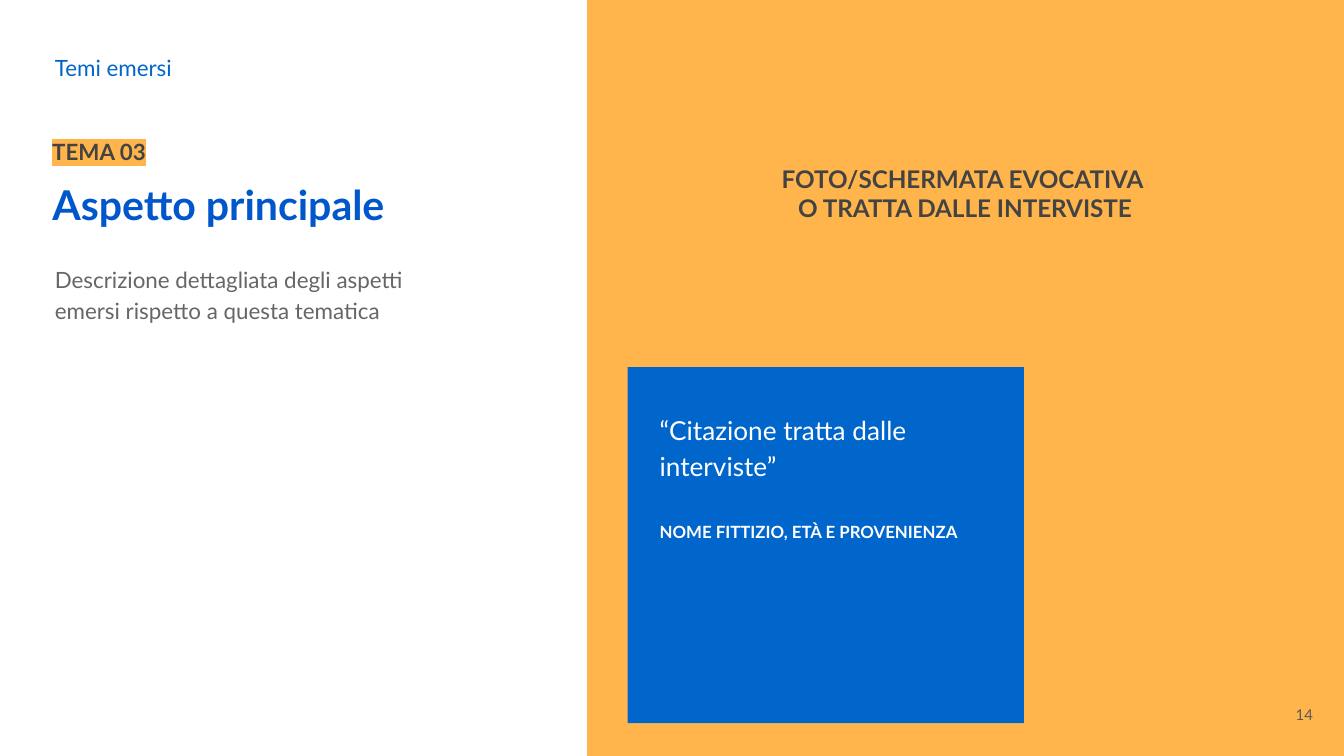
from dataclasses import dataclass

from lxml import etree
from pptx import Presentation
from pptx.dml.color import RGBColor
from pptx.enum import shapes, text
from pptx.oxml import ns
from pptx.util import Pt


@dataclass(frozen=True)
class Theme:
    """Colours, font and type sizes of the deck."""
    font: str = "Lato"
    amber: str = "FFB54C"
    blue: str = "0066CC"
    navy: str = "0056CB"
    dark: str = "434343"
    gray: str = "666666"
    dim: str = "595959"
    white: str = "FFFFFF"
    head: float = 22
    quote: float = 14
    label: float = 13
    body: float = 12
    name: float = 9
    page: float = 8


THEME = Theme()
ALIGN = text.PP_ALIGN
ANCHOR = text.MSO_ANCHOR


def mark(run, color):
    """Put a highlight colour behind a run."""
    fill = run.font.fill._xPr.find(ns.qn("a:solidFill"))
    glow = etree.Element(ns.qn("a:highlight"))
    etree.SubElement(glow, ns.qn("a:srgbClr"), val=color)
    fill.addnext(glow)


def write(para, words, size=THEME.body, color=THEME.gray, bold=False,
          align=ALIGN.LEFT, line=1.0, before=0, glow=None):
    """Fill a paragraph with formatted text."""
    para.alignment = align
    para.line_spacing = line
    para.space_before = Pt(before)
    for i, part in enumerate(words.split("\n")):
        if i:
            para.add_line_break()
        run = para.add_run()
        run.text = part
        font = run.font
        font.name, font.size, font.bold = THEME.font, Pt(size), bold
        font.color.rgb = RGBColor.from_string(color)
        if glow:
            mark(run, glow)


def place(shape, box):
    """Move a shape to a box given in points."""
    shape.left, shape.top, shape.width, shape.height = map(Pt, box)


def inset(box, x, y, w, h):
    """Return a box placed relative to another box."""
    return box[0] + x, box[1] + y, w, h


def setup(shape, anchor=ANCHOR.TOP):
    """Prepare the text frame of a shape and return it."""
    frame = shape.text_frame
    frame.word_wrap = True
    frame.auto_size = text.MSO_AUTO_SIZE.NONE
    frame.vertical_anchor = anchor
    frame.margin_left = frame.margin_right = Pt(7.2)
    frame.margin_top = frame.margin_bottom = Pt(7.2)
    return frame


def label(slide, box, words, anchor=ANCHOR.TOP, **style):
    """Add a text box and return its frame."""
    frame = setup(slide.shapes.add_textbox(*map(Pt, box)), anchor)
    write(frame.paragraphs[0], words, **style)
    return frame


def panel(slide, box, color):
    """Add a plain filled rectangle."""
    shape = slide.shapes.add_shape(shapes.MSO_SHAPE.RECTANGLE, *map(Pt, box))
    shape.shadow.inherit = False
    shape.fill.solid()
    shape.fill.fore_color.rgb = RGBColor.from_string(color)
    shape.line.fill.background()


def topic(slide, box):
    """Place the section name, theme tag, title and description."""
    label(slide, inset(box, 22.3, 25.2, 305, 22.3), "Temi emersi",
          anchor=ANCHOR.MIDDLE, color=THEME.blue)
    label(slide, inset(box, 20.9, 67, 76.3, 22.3), "TEMA 03",
          color=THEME.dark, bold=True, glow=THEME.amber)
    title = slide.shapes.title
    place(title, inset(box, 20.9, 85, 251.3, 40.3))
    write(setup(title).paragraphs[0], "Aspetto principale", size=THEME.head,
          color=THEME.navy, bold=True, line=1.15)
    label(slide, inset(box, 22.3, 133.2, 232.6, 196.6),
          "Descrizione dettagliata degli aspetti emersi rispetto a questa tematica",
          line=1.15)


def quote(slide, box):
    """Place the quote card with its speaker."""
    panel(slide, box, THEME.blue)
    frame = label(slide, inset(box, 10.1, 15.8, 189.4, 68.4),
                  "“Citazione tratta dalle interviste”",
                  size=THEME.quote, color=THEME.white, line=1.15)
    write(frame.add_paragraph(), "NOME FITTIZIO, ETÀ E PROVENIENZA",
          size=THEME.name, color=THEME.white, bold=True, line=1.15, before=19.3)


def photo(slide, box):
    """Place the photo area with its caption, quote and page number."""
    panel(slide, box, THEME.amber)
    label(slide, inset(box, 70.6, 81.3, 263.5, 22.3),
          "FOTO/SCHERMATA EVOCATIVA \nO TRATTA DALLE INTERVISTE",
          size=THEME.label, color=THEME.dark, bold=True, align=ALIGN.CENTER)
    quote(slide, inset(box, 21.6, 197.2, 212.4, 190.8))
    label(slide, inset(box, 352.8, 367.9, 43.2, 31), "14",
          anchor=ANCHOR.MIDDLE, size=THEME.page, color=THEME.dim,
          align=ALIGN.RIGHT)


def main():
    """Build the slide and save it."""
    deck = Presentation()
    deck.slide_width, deck.slide_height = Pt(720), Pt(405)
    slide = deck.slides.add_slide(deck.slide_layouts[5])
    topic(slide, (0, 0, 314.6, 405))
    photo(slide, (314.6, -0.5, 405.4, 406))
    deck.save("out.pptx")


if __name__ == "__main__":
    main()
